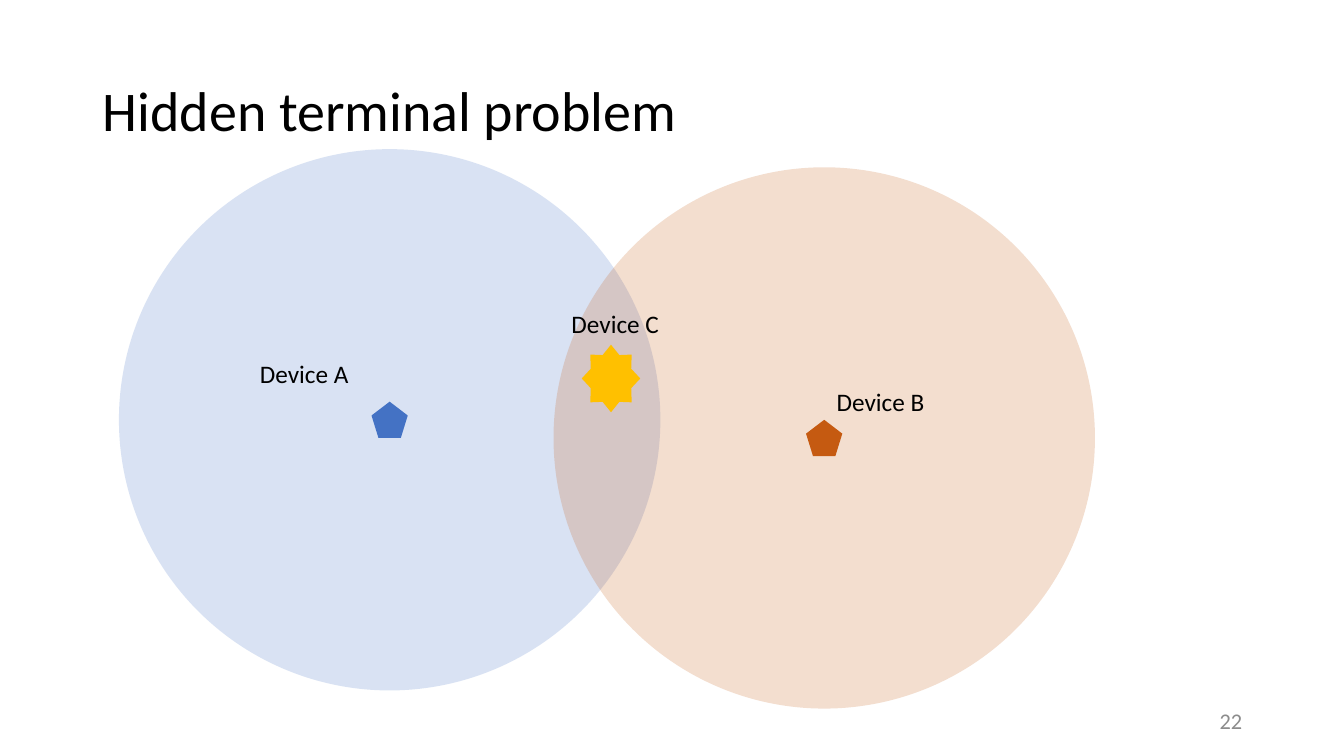
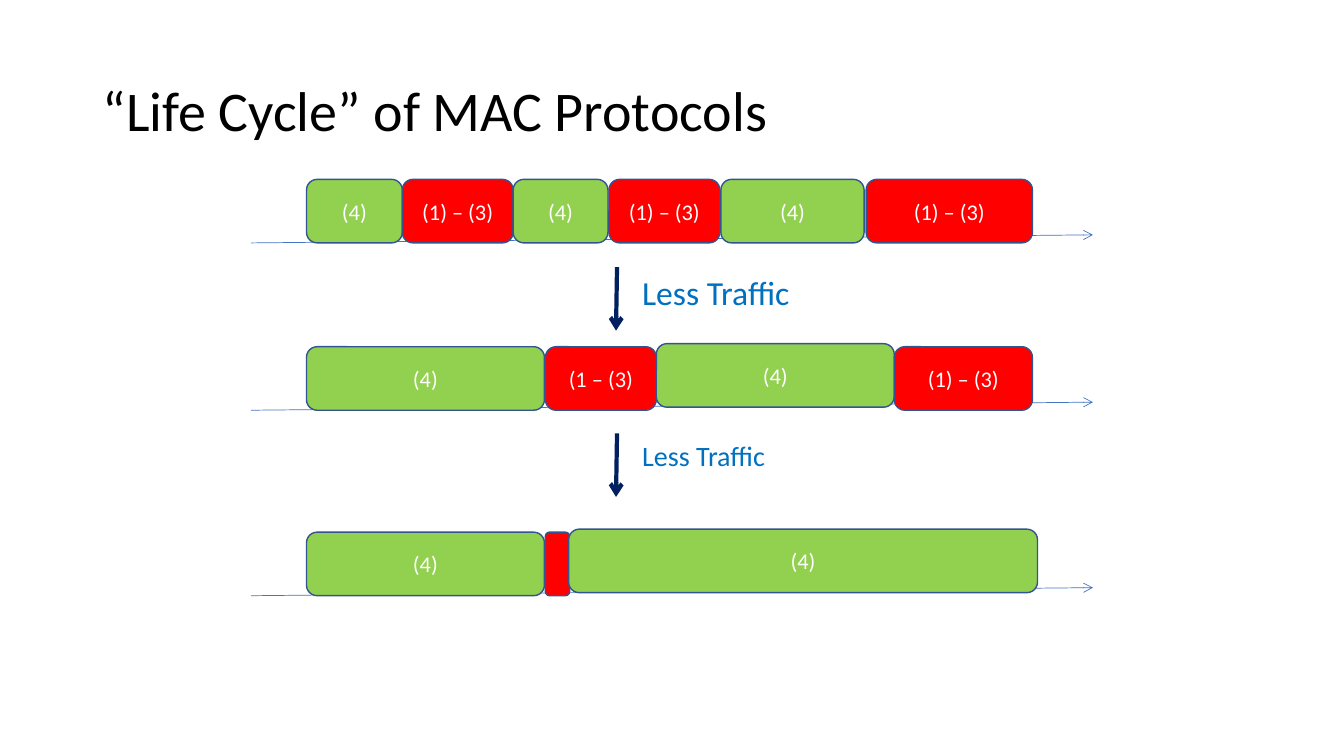
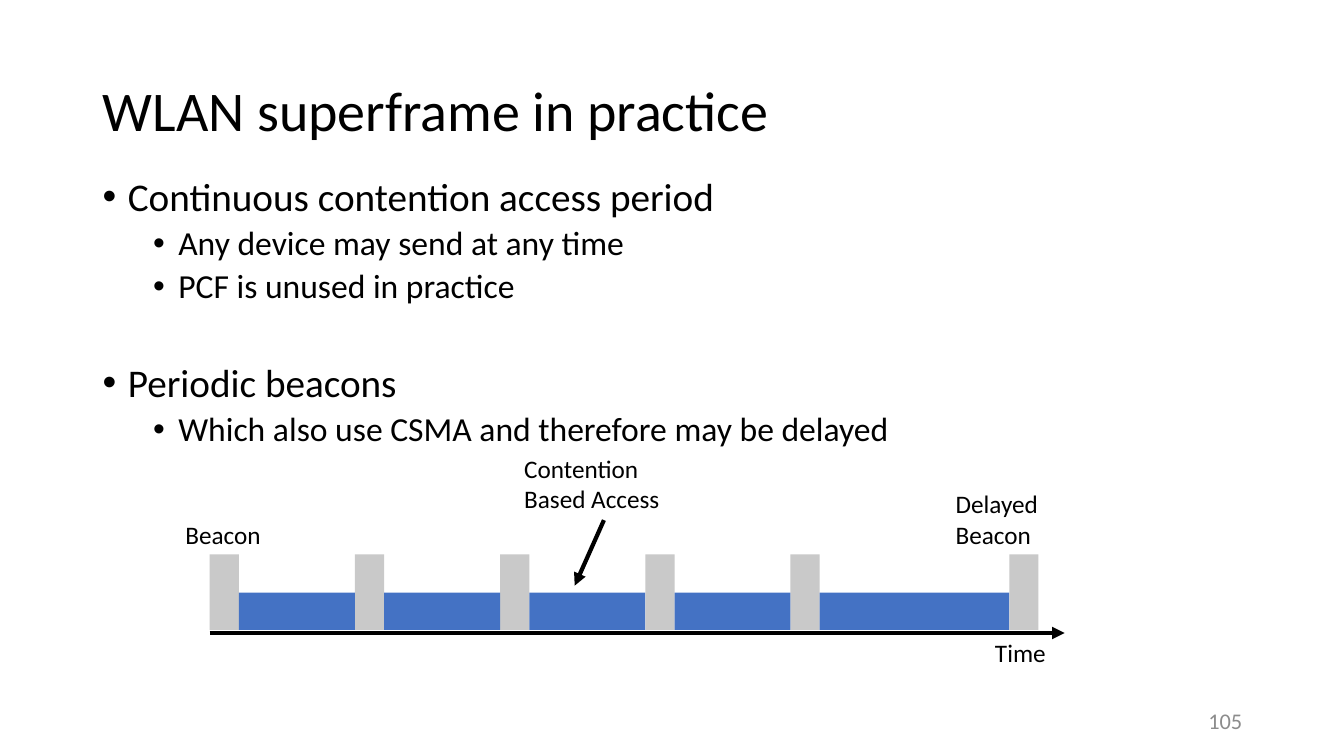
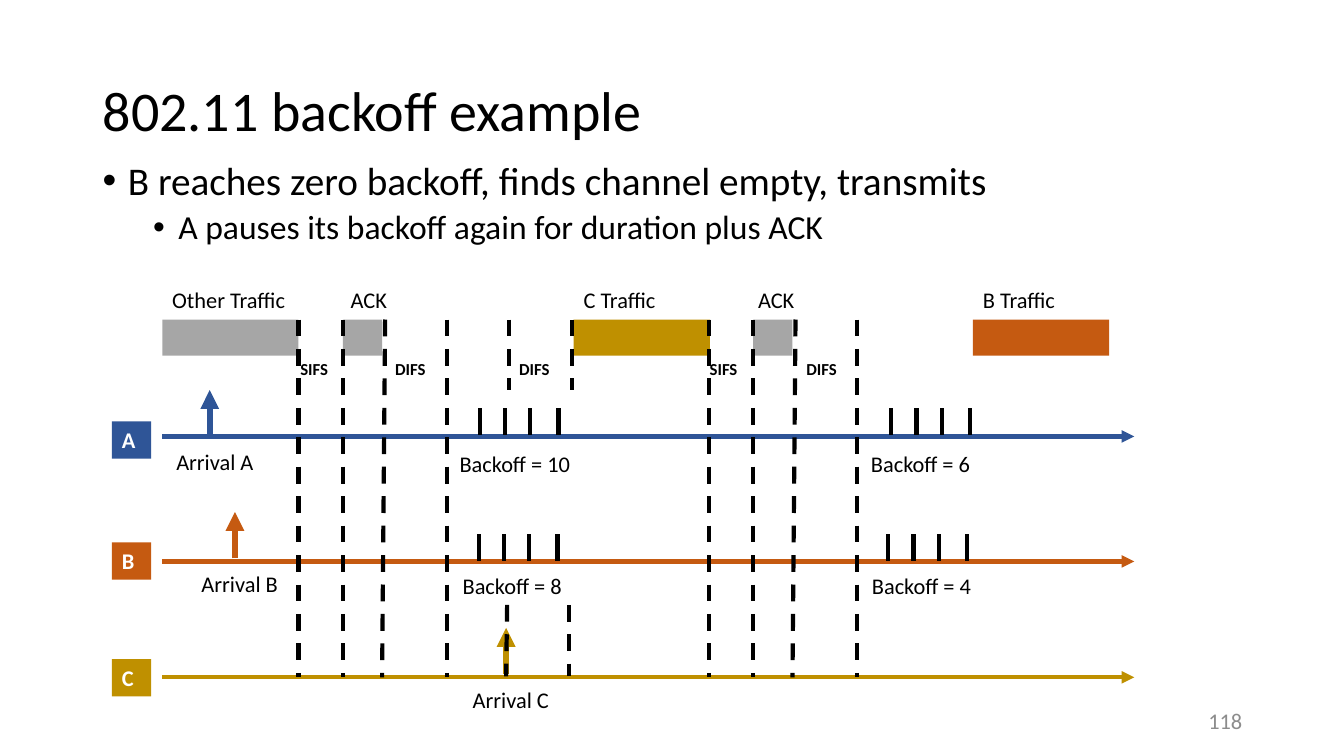
"""Build four slides on medium access control in wireless networks."""
from dataclasses import dataclass
from typing import Optional

from pptx import Presentation
from pptx.dml.color import RGBColor
from pptx.enum.dml import MSO_LINE
from pptx.enum.shapes import MSO_CONNECTOR, MSO_SHAPE
from pptx.enum.text import MSO_ANCHOR, PP_ALIGN
from pptx.oxml.ns import qn
from pptx.oxml.xmlchemy import OxmlElement
from pptx.util import Inches, Pt

RECTANGLE = MSO_SHAPE.RECTANGLE
ROUNDED = MSO_SHAPE.ROUNDED_RECTANGLE
ELLIPSE = MSO_SHAPE.OVAL
PENTAGON = MSO_SHAPE.REGULAR_PENTAGON
STAR = MSO_SHAPE.STAR_8_POINT
STRAIGHT = MSO_CONNECTOR.STRAIGHT
DASH = MSO_LINE.DASH
TOP, MIDDLE = MSO_ANCHOR.TOP, MSO_ANCHOR.MIDDLE
LEFT, CENTER, RIGHT = PP_ALIGN.LEFT, PP_ALIGN.CENTER, PP_ALIGN.RIGHT

FONT = "Calibri"
BLACK = RGBColor(0x00, 0x00, 0x00)
WHITE = RGBColor(0xFF, 0xFF, 0xFF)
PAGE_GREY = RGBColor(0x8C, 0x8C, 0x8C)
BLUE = RGBColor(0x44, 0x72, 0xC4)
DARK_BLUE = RGBColor(0x2F, 0x55, 0x97)
NAVY = RGBColor(0x00, 0x20, 0x60)
OUTLINE_BLUE = RGBColor(0x32, 0x54, 0x91)
TRAFFIC_BLUE = RGBColor(0x00, 0x70, 0xC0)
ORANGE = RGBColor(0xC5, 0x5A, 0x11)
YELLOW = RGBColor(0xFF, 0xC0, 0x00)
GOLD = RGBColor(0xBF, 0x90, 0x00)
GREEN = RGBColor(0x92, 0xD0, 0x50)
RED = RGBColor(0xFF, 0x00, 0x00)
BEACON_GREY = RGBColor(0xC9, 0xC9, 0xC9)
TRAFFIC_GREY = RGBColor(0xA6, 0xA6, 0xA6)


@dataclass(frozen=True)
class Label:
    """A piece of text and its place."""
    text: str
    left: float
    top: float
    width: float
    size: int = 18
    color: RGBColor = BLACK
    bold: bool = False


@dataclass(frozen=True)
class Bullet:
    """A bulleted line with its level and the space above it."""
    text: str
    level: int = 0
    space_before: int = 10


@dataclass(frozen=True)
class Device:
    """A radio device with its range and label position."""
    name: str
    color: RGBColor
    range_left: float
    range_top: float
    label_left: float
    label_top: float


@dataclass(frozen=True)
class Phase:
    """A span of the protocol life cycle."""
    text: str
    left: float
    width: float
    color: RGBColor
    raised: float = 0


@dataclass(frozen=True)
class Station:
    """A station's time line and the arrival of its packet."""
    name: str
    color: RGBColor
    axis_y: float
    badge_top: float
    arrival_x: float
    arrival_y: float
    arrival_label: tuple[float, float]


@dataclass(frozen=True)
class Transmission:
    """A busy period on the channel."""
    text: str
    left: float
    width: float
    color: RGBColor
    label_left: float


def write(paragraph, text: str, *, size: float, color: RGBColor = BLACK, bold: bool = False,
          align=LEFT, line_spacing: Optional[float] = None, space_before: float = 0) -> None:
    """Put formatted text into a paragraph."""
    paragraph.alignment = align
    paragraph.space_before = Pt(space_before)
    if line_spacing:
        paragraph.line_spacing = line_spacing
    run = paragraph.add_run()
    run.text = text
    run.font.name, run.font.size, run.font.bold = FONT, Pt(size), bold
    run.font.color.rgb = color


def add_frame(slide, left: float, top: float, width: float, height: float, anchor=TOP):
    """Add a wrapping text box and return its text frame."""
    box = slide.shapes.add_textbox(Inches(left), Inches(top), Inches(width), Inches(height))
    box.text_frame.word_wrap = True
    box.text_frame.vertical_anchor = anchor
    return box.text_frame


def add_label(slide, label: Label) -> None:
    """Draw a label, one paragraph per line."""
    lines = label.text.split("\n")
    height = round(len(lines) * label.size * 1.2 / 72 + 0.1, 2)
    frame = add_frame(slide, label.left, label.top, label.width, height)
    for index, line in enumerate(lines):
        paragraph = frame.add_paragraph() if index else frame.paragraphs[0]
        write(paragraph, line, size=label.size, color=label.color, bold=label.bold)


def add_block(slide, kind, left: float, top: float, width: float, height: float,
              fill: RGBColor, *, outline: Optional[RGBColor] = None,
              opacity: Optional[int] = None):
    """Draw a filled shape, optionally outlined or translucent."""
    block = slide.shapes.add_shape(kind, Inches(left), Inches(top), Inches(width), Inches(height))
    block.shadow.inherit = False
    block.fill.solid()
    block.fill.fore_color.rgb = fill
    if opacity is not None:
        alpha = OxmlElement("a:alpha")
        alpha.set("val", str(opacity * 1000))
        block._element.spPr.find(".//" + qn("a:srgbClr")).append(alpha)
    if outline is None:
        block.line.fill.background()
    else:
        block.line.color.rgb = outline
        block.line.width = Pt(1)
    return block


def add_line(slide, start: tuple[float, float], end: tuple[float, float], *,
             color: RGBColor = BLACK, width: float = 3, head: Optional[str] = None,
             dash=None) -> None:
    """Draw a straight line, optionally dashed or with an arrowhead at its end."""
    line = slide.shapes.add_connector(STRAIGHT, *(Inches(value) for value in start + end))
    line.line.color.rgb = color
    line.line.width = Pt(width)
    if dash is not None:
        line.line.dash_style = dash
    properties = line._element.spPr
    if head:
        arrow = OxmlElement("a:tailEnd")
        arrow.set("type", head)
        properties.get_or_add_ln().append(arrow)
    properties.append(OxmlElement("a:effectLst"))


def add_bullets(slide, top: float, bullets: list[Bullet]) -> None:
    """Draw a two-level bulleted list."""
    frame = add_frame(slide, 0.92, top, 11.5, 4.76)
    for index, bullet in enumerate(bullets):
        paragraph = frame.add_paragraph() if index else frame.paragraphs[0]
        write(paragraph, bullet.text, size=28 - 4 * bullet.level, line_spacing=0.9,
              space_before=bullet.space_before)
        paragraph.level = bullet.level
        properties = paragraph._p.get_or_add_pPr()
        properties.set("marL", str(Inches(0.25 + 0.5 * bullet.level)))
        properties.set("indent", str(-Inches(0.25)))
        for tag, name, value in (("a:buFont", "typeface", "Arial"), ("a:buChar", "char", "•")):
            mark = OxmlElement(tag)
            mark.set(name, value)
            properties.append(mark)


def new_slide(deck, heading: str, page: str = ""):
    """Add a slide with the shared title style and page number."""
    slide = deck.slides.add_slide(deck.slide_layouts[5])
    title = slide.shapes.title
    title.left, title.top = Inches(0.92), Inches(0.4)
    title.width, title.height = Inches(11.5), Inches(1.45)
    title.text_frame.vertical_anchor = MIDDLE
    write(title.text_frame.paragraphs[0], heading, size=40, line_spacing=0.9)
    if page:
        footer = add_frame(slide, 9.42, 6.95, 3, 0.4, MIDDLE)
        write(footer.paragraphs[0], page, size=16, color=PAGE_GREY, align=RIGHT)
    return slide


def build_hidden_terminal(deck) -> None:
    """Show two radio ranges that overlap at a third device."""
    slide = new_slide(deck, "Hidden terminal problem", "22")
    range_size, device_size = 5.37, 0.36
    devices = [Device("Device A", BLUE, 1.18, 1.48, 2.48, 3.51),
               Device("Device B", ORANGE, 5.49, 1.66, 8.2, 3.78)]
    inset = (range_size - device_size) / 2
    for device in devices:
        add_block(slide, PENTAGON, device.range_left + inset, device.range_top + inset,
                  device_size, device_size, device.color)
        add_block(slide, ELLIPSE, device.range_left, device.range_top,
                  range_size, range_size, device.color, opacity=20)
        add_label(slide, Label(device.name, device.label_left, device.label_top, 1.4))
    add_block(slide, STAR, 5.77, 3.42, 0.58, 0.67, YELLOW)
    add_label(slide, Label("Device C", 5.57, 3.01, 1.4))


def build_life_cycle(deck) -> None:
    """Show how the phases change as traffic falls."""
    slide = new_slide(deck, "“Life Cycle” of MAC Protocols")
    idle, busy = "(4)", "(1) – (3)"
    cycles = [
        (1.78, [Phase(idle, 3.04, 0.95, GREEN), Phase(busy, 3.99, 1.1, RED),
                Phase(idle, 5.09, 0.94, GREEN), Phase(busy, 6.04, 1.1, RED),
                Phase(idle, 7.15, 1.42, GREEN), Phase(busy, 8.59, 1.65, RED)]),
        (3.44, [Phase(idle, 3.04, 2.36, GREEN), Phase("(1 – (3)", 5.41, 1.1, RED),
                Phase(idle, 6.51, 2.36, GREEN, 0.03), Phase(busy, 8.87, 1.37, RED)]),
        (5.28, [Phase(idle, 3.04, 2.36, GREEN), Phase("", 5.41, 0.24, RED),
                Phase(idle, 5.64, 4.65, GREEN, 0.03)]),
    ]
    height = 0.63
    for top, phases in cycles:
        add_line(slide, (2.49, top + height), (10.84, top + height - 0.08),
                 color=BLUE, width=0.5, head="arrow")
        for phase in phases:
            block = add_block(slide, ROUNDED, phase.left, top - phase.raised, phase.width,
                              height, phase.color, outline=OUTLINE_BLUE)
            if phase.text:
                write(block.text_frame.paragraphs[0], phase.text, size=16, color=WHITE,
                      align=CENTER)
    for top, size, width in ((2.65, 24, 1.8), (4.3, 20, 1.6)):
        add_line(slide, (6.12, top), (6.11, top + height), color=NAVY, head="arrow")
        add_label(slide, Label("Less Traffic", 6.27, top, width, size, TRAFFIC_BLUE))


def build_superframe(deck) -> None:
    """Show periodic beacons with contention periods between them."""
    slide = new_slide(deck, "WLAN superframe in practice", "105")
    add_bullets(slide, 1.71, [
        Bullet("Continuous contention access period"),
        Bullet("Any device may send at any time", 1, 5),
        Bullet("PCF is unused in practice", 1, 5),
        Bullet("Periodic beacons", 0, 41),
        Bullet("Which also use CSMA and therefore may be delayed", 1, 5),
    ])
    start, period, beacon_width, base = 2.08, 1.44, 0.29, 6.25
    add_line(slide, (start, 6.28), (10.56, 6.28), head="triangle")
    beacons = [start + period * index for index in range(5)] + [10.01]
    for left in beacons:
        add_block(slide, RECTANGLE, left, base - 0.75, beacon_width, 0.75, BEACON_GREY)
    for left, following in zip(beacons, beacons[1:]):
        access_left = left + beacon_width
        add_block(slide, RECTANGLE, access_left, base - 0.37, following - access_left, 0.37, BLUE)
    for label in (Label("Time", 9.77, 6.27, 0.78), Label("Delayed Beacon", 9.38, 4.8, 1.28),
                  Label("Beacon", 1.74, 5.1, 1.28),
                  Label("Contention\nBased Access", 5.1, 4.45, 1.78)):
        add_label(slide, label)
    add_line(slide, (5.99, 5.16), (5.7, 5.81), head="triangle")


def build_backoff(deck) -> None:
    """Show three stations that share the channel by backoff."""
    slide = new_slide(deck, "802.11 backoff example", "118")
    add_bullets(slide, 1.55, [
        Bullet("B reaches zero backoff, finds channel empty, transmits"),
        Bullet("A pauses its backoff again for duration plus ACK", 1, 5),
    ])
    channel_top, cycle = 3.17, 4.07
    stations = [Station("A", DARK_BLUE, 4.33, 4.18, 2.08, 4.33, (1.65, 4.4)),
                Station("B", ORANGE, 5.57, 5.38, 2.33, 5.54, (1.9, 5.61)),
                Station("C", GOLD, 6.72, 6.54, 5.02, 6.69, (4.59, 6.76))]
    for station in stations:
        add_line(slide, (1.61, station.axis_y), (11.25, station.axis_y),
                 color=station.color, head="triangle")
        add_line(slide, (station.arrival_x, station.arrival_y),
                 (station.arrival_x, station.arrival_y - 0.46),
                 color=station.color, width=4.5, head="triangle")
        badge = add_block(slide, RECTANGLE, 1.11, station.badge_top, 0.39, 0.37, station.color)
        badge.text_frame.vertical_anchor = TOP
        write(badge.text_frame.paragraphs[0], station.name, size=16, color=WHITE, bold=True)
        add_label(slide, Label(f"Arrival {station.name}", *station.arrival_label, 1.35, 16))

    for sent in (Transmission("Other Traffic", 1.61, 1.35, TRAFFIC_GREY, 1.61),
                 Transmission("ACK", 3.4, 0.39, TRAFFIC_GREY, 3.38),
                 Transmission("C Traffic", 5.69, 1.35, GOLD, 5.69),
                 Transmission("ACK", 7.47, 0.39, TRAFFIC_GREY, 7.42),
                 Transmission("B Traffic", 9.65, 1.35, ORANGE, 9.65)):
        add_block(slide, RECTANGLE, sent.left, channel_top, sent.width, 0.36, sent.color)
        add_label(slide, Label(sent.text, sent.label_left, 2.79, 1.64, 16))

    for shift in (0, cycle):
        for top_x, bottom_x in ((2.96, 2.96), (3.4, 3.4), (3.82, 3.79), (4.43, 4.43)):
            add_line(slide, (top_x + shift, channel_top), (bottom_x + shift, 6.72), dash=DASH)
    for x in (5.05, 5.67):
        add_line(slide, (x, channel_top), (x, 3.87), dash=DASH)
    for top_x, bottom_x in ((5.03, 5.02), (5.64, 5.64)):
        add_line(slide, (top_x, 6), (bottom_x, 6.71), dash=DASH)

    for text, left in (("SIFS", 2.88), ("DIFS", 3.82), ("DIFS", 5.05), ("SIFS", 6.94),
                       ("DIFS", 7.9)):
        add_label(slide, Label(text, left, 3.51, 0.96, 12, bold=True))

    for slots, left, top, first_tick, tick_top in (
            (10, 4.46, 4.42, 4.76, 4.05), (8, 4.49, 5.63, 4.75, 5.3),
            (6, 8.54, 4.42, 8.84, 4.05), (4, 8.55, 5.63, 8.81, 5.3)):
        add_label(slide, Label(f"Backoff = {slots}", left, top, 1.71, 16))
        for offset in (0, 0.25, 0.5, 0.78):
            x = first_tick + offset
            add_line(slide, (x, tick_top), (x, tick_top + 0.27))


def main() -> None:
    """Build and save the presentation."""
    deck = Presentation()
    deck.slide_width, deck.slide_height = Inches(13.33), Inches(7.5)
    for build in (build_hidden_terminal, build_life_cycle, build_superframe, build_backoff):
        build(deck)
    deck.save("out.pptx")


if __name__ == "__main__":
    main()
